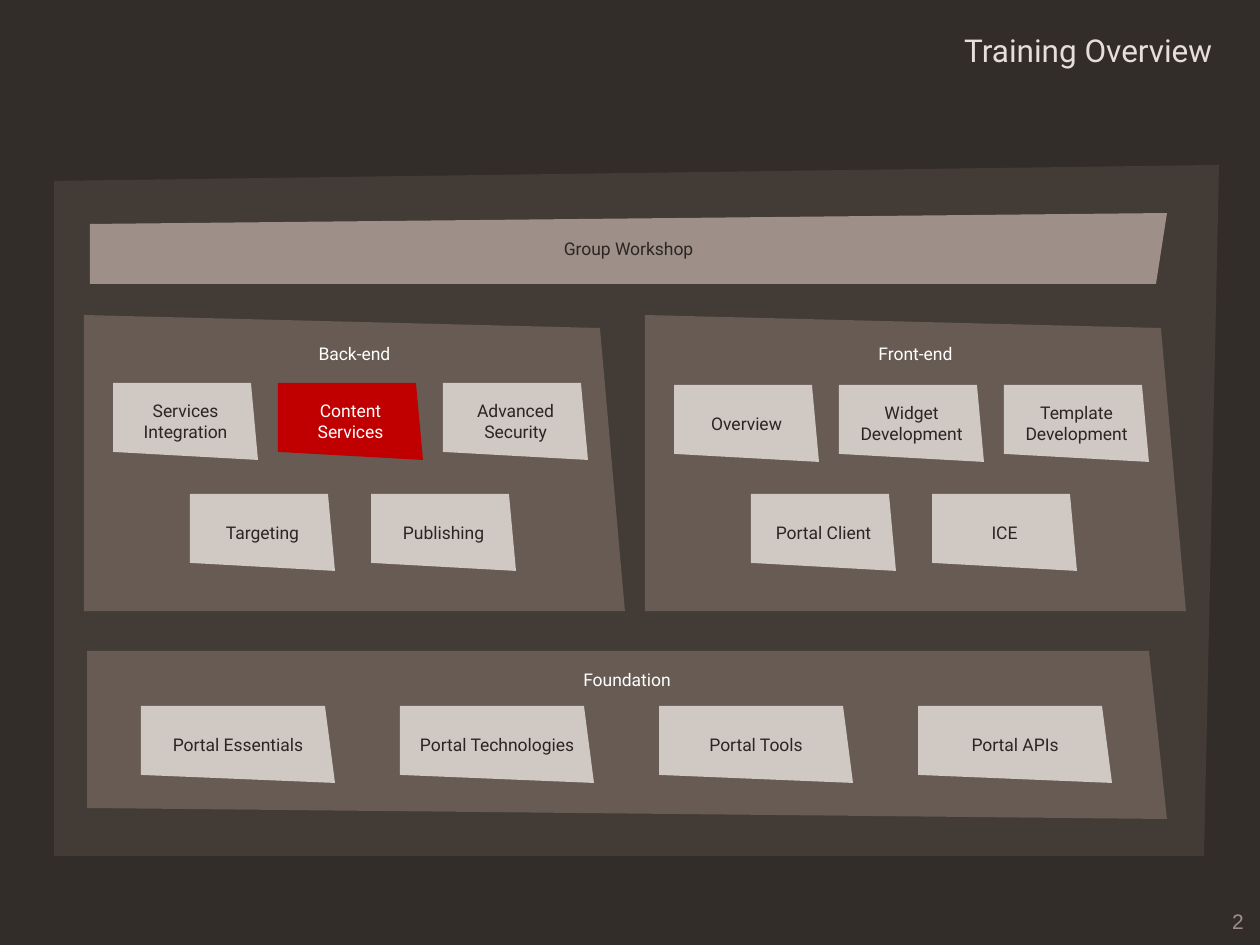
"""Build the training overview slide: skewed panels holding skewed course tiles."""
from pptx import Presentation
from pptx import util as u
from pptx.dml.color import RGBColor
from pptx.enum import text

SCALE = 914400 / 126
FONT = "Roboto"
BACKDROP, FRAME, PANEL, BANNER, TILE = "332D2A", "433B36", "675B53", "9E9088", "CFC8C3"
DARK, WHITE, ACCENT = "2B2623", "FFFFFF", "C00000"
TITLE_COLOR, NUMBER_COLOR = "E5DEDC", "9E9088"
HIGHLIGHT = "Content\nServices"

FRAME_CORNERS = [(54, 181), (1219, 165), (1204, 856), (54, 856)]
BANNER_CORNERS = [(90, 224), (1167, 213), (1156, 284), (90, 284)]
PANELS = [
    ("Foundation", 18, [(87, 651), (1149, 651), (1167, 819), (87, 808)]),
    ("Front-end", 28, [(645, 315), (1161, 328), (1186, 611), (645, 611)]),
    ("Back-end", 28, [(84, 315), (600, 328), (625, 611), (84, 611)]),
]
TILE_HEIGHT, TILE_LEFT_HEIGHT = 77, 69
TILE_ROWS = [
    (113, 383, 145, 165, ["Services\nIntegration", HIGHLIGHT, "Advanced\nSecurity"]),
    (190, 494, 145, 181, ["Targeting", "Publishing"]),
    (674, 385, 145, 165, ["Overview", "Widget\nDevelopment", "Template\nDevelopment"]),
    (751, 494, 145, 181, ["Portal Client", "ICE"]),
    (141, 706, 194, 259, ["Portal Essentials", "Portal Technologies", "Portal Tools", "Portal APIs"]),
]


def px(value):
    return u.Emu(round(value * SCALE))


def color(value):
    return RGBColor.from_string(value)


def write(shape, words, size, ink, align, anchor, font=FONT):
    frame = shape.text_frame
    frame.text = words
    frame.vertical_anchor = anchor
    for para in frame.paragraphs:
        para.alignment = align
        for span in para.runs:
            span.font.size = u.Pt(size)
            span.font.name = font
            span.font.color.rgb = color(ink)
    return frame


def add_block(page, corners, fill, words="", ink=DARK, top_margin=None):
    builder = page.shapes.build_freeform(*corners[0], scale=SCALE)
    builder.add_line_segments(corners[1:], close=True)
    block = builder.convert_to_shape()
    block.shadow.inherit = False
    block.fill.solid()
    block.fill.fore_color.rgb = color(fill)
    block.line.fill.background()
    if words:
        anchor = text.MSO_ANCHOR.MIDDLE if top_margin is None else text.MSO_ANCHOR.TOP
        frame = write(block, words, 10, ink, text.PP_ALIGN.CENTER, anchor)
        frame.word_wrap = False
        if top_margin is not None:
            frame.margin_top = px(top_margin)


def add_tile(page, left, top, width, words):
    corners = [
        (left, top),
        (left + round(width * 0.95), top),
        (left + width, top + TILE_HEIGHT),
        (left, top + TILE_LEFT_HEIGHT),
    ]
    fill, ink = (ACCENT, WHITE) if words == HIGHLIGHT else (TILE, DARK)
    add_block(page, corners, fill, words, ink)


def main():
    deck = Presentation()
    deck.slide_width, deck.slide_height = px(1260), px(945)
    page = deck.slides.add_slide(deck.slide_layouts[5])
    page.background.fill.solid()
    page.background.fill.fore_color.rgb = color(BACKDROP)

    title = page.shapes.title
    title.left, title.top, title.width, title.height = px(362), px(25), px(863), px(50)
    write(title, "Training Overview", 18, TITLE_COLOR, text.PP_ALIGN.RIGHT, text.MSO_ANCHOR.MIDDLE)

    number = page.shapes.add_textbox(px(1026), px(904), px(230), px(35))
    frame = write(number, "2", 12, NUMBER_COLOR, text.PP_ALIGN.RIGHT, text.MSO_ANCHOR.MIDDLE, "Arial")
    frame.word_wrap = True

    add_block(page, FRAME_CORNERS, FRAME)
    for heading, top_margin, corners in PANELS:
        add_block(page, corners, PANEL, heading, WHITE, top_margin)
    for left, top, width, pitch, names in TILE_ROWS:
        for index, name in enumerate(names):
            add_tile(page, left + index * pitch, top, width, name)
    add_block(page, BANNER_CORNERS, BANNER, "Group Workshop")
    deck.save("out.pptx")


if __name__ == "__main__":
    main()
